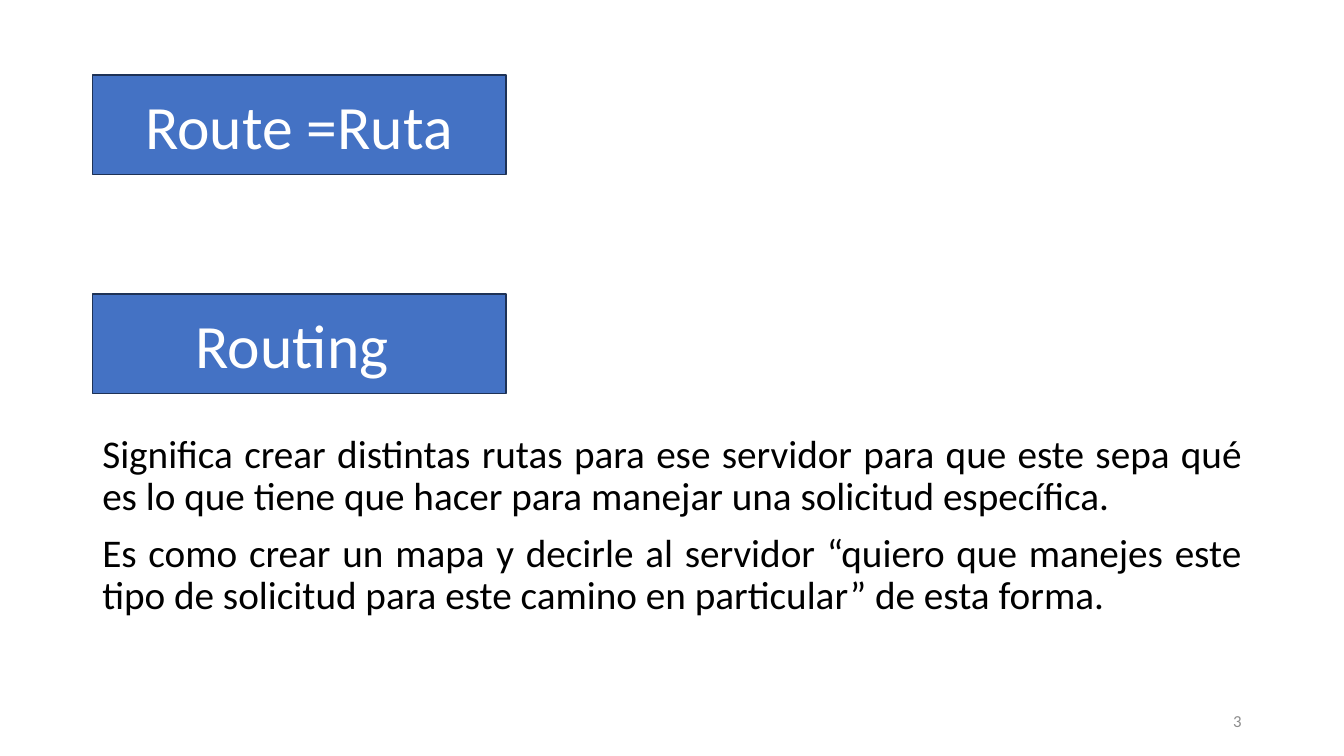
from dataclasses import dataclass

from pptx import Presentation
from pptx import util as u
from pptx.dml.color import RGBColor
from pptx.enum import shapes, text


@dataclass(frozen=True)
class Theme:
    font: str = "Calibri"
    fill: str = "4472C4"
    outline: str = "1E3256"
    light: str = "FFFFFF"
    dark: str = "000000"
    muted: str = "8C8C8C"
    label_size: int = 44
    body_size: int = 28
    number_size: int = 12


class SlideBuilder:
    """Draws labels, body text and page numbers on one slide in one theme."""

    def __init__(self, page, theme):
        self.page = page
        self.theme = theme

    def set_text(self, box, lines, size, color, align, anchor):
        frame = box.text_frame
        frame.word_wrap = True
        frame.vertical_anchor = anchor
        frame.text = "\n".join(lines)
        for para in frame.paragraphs:
            para.alignment = align
            para.font.name = self.theme.font
            para.font.size = u.Pt(size)
            para.font.color.rgb = RGBColor.from_string(color)
        return frame.paragraphs

    def label(self, wording, left, top, width, height):
        box = self.page.shapes.add_shape(
            shapes.MSO_SHAPE.RECTANGLE, *map(u.Pt, (left, top, width, height)))
        box.shadow.inherit = False
        box.fill.solid()
        box.fill.fore_color.rgb = RGBColor.from_string(self.theme.fill)
        box.line.color.rgb = RGBColor.from_string(self.theme.outline)
        box.line.width = u.Pt(1)
        self.set_text(box, [wording], self.theme.label_size, self.theme.light,
                      text.PP_ALIGN.CENTER, text.MSO_ANCHOR.MIDDLE)

    def body(self, lines, left, top, width, height):
        box = self.page.shapes.add_textbox(*map(u.Pt, (left, top, width, height)))
        paras = self.set_text(box, lines, self.theme.body_size, self.theme.dark,
                              text.PP_ALIGN.JUSTIFY, text.MSO_ANCHOR.TOP)
        for para in paras:
            para.line_spacing = 0.9
        for para in paras[1:]:
            para.space_before = u.Pt(10)

    def page_number(self, number, left, top, width, height):
        box = self.page.shapes.add_textbox(*map(u.Pt, (left, top, width, height)))
        self.set_text(box, [str(number)], self.theme.number_size, self.theme.muted,
                      text.PP_ALIGN.RIGHT, text.MSO_ANCHOR.MIDDLE)


def main():
    deck = Presentation()
    deck.slide_width, deck.slide_height = u.Pt(960), u.Pt(540)
    page = deck.slides.add_slide(deck.slide_layouts[6])
    builder = SlideBuilder(page, Theme())
    margin = 66
    builder.body([
        "Significa crear distintas rutas para ese servidor para que este sepa qué "
        "es lo que tiene que hacer para manejar una solicitud específica. ",
        "Es como crear un mapa y decirle al servidor “quiero que manejes este "
        "tipo de solicitud para este camino en particular” de esta forma.",
    ], margin, 307, 828, 180)
    builder.page_number(3, 678, 500.5, 216, 28.75)
    for wording, top in (("Route =Ruta", 53.5), ("Routing ", 210)):
        builder.label(wording, margin, top, 295.5, 71)
    deck.save("out.pptx")


if __name__ == "__main__":
    main()
